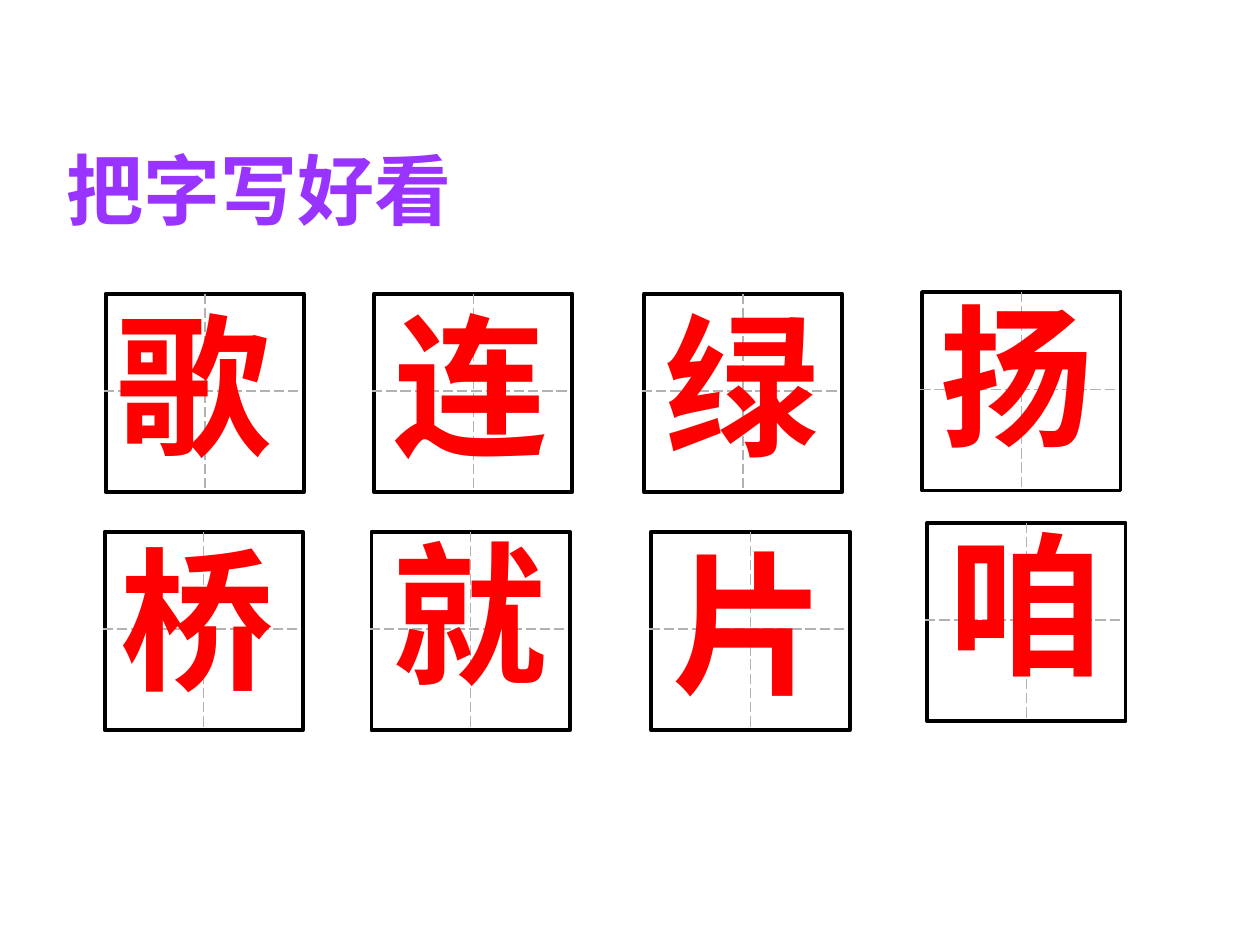
"""Build a handwriting practice slide with eight characters in dashed grid squares."""
from lxml.etree import SubElement
from pptx import Presentation
from pptx.dml.color import RGBColor
from pptx.enum.dml import MSO_LINE
from pptx.enum.shapes import MSO_CONNECTOR, MSO_SHAPE
from pptx.enum.text import MSO_ANCHOR, MSO_AUTO_SIZE, PP_ALIGN
from pptx.oxml.ns import qn
from pptx.util import Cm, Pt

PURPLE = RGBColor(0x99, 0x33, 0xFF)
RED = RGBColor(0xFF, 0x00, 0x00)
BLACK = RGBColor(0x00, 0x00, 0x00)
GRAY = RGBColor(0xB2, 0xB2, 0xB2)
HAN_FONT = "Noto Sans CJK SC"

HEADING = "把字写好看"
# character, square (left, top), character box (left, top), in cm
CHARACTERS = [
    ("歌", (2.13, 5.92), (1.91, 5.72)),
    ("绿", (12.98, 5.92), (12.95, 5.72)),
    ("扬", (18.59, 5.89), (18.49, 5.54)),
    ("连", (7.54, 5.92), (7.49, 5.72)),
    ("桥", (2.11, 10.72), (1.98, 10.44)),
    ("就", (7.49, 10.72), (7.47, 10.31)),
    ("片", (13.13, 10.72), (13.11, 10.52)),
    ("咱", (18.69, 10.54), (18.67, 10.13)),
]
SIDE = 4
SHIFT = 0.04


def write(box, text, *, size, color, font, align=PP_ALIGN.LEFT):
    frame = box.text_frame
    frame.auto_size = MSO_AUTO_SIZE.NONE
    frame.word_wrap = True
    frame.vertical_anchor = MSO_ANCHOR.MIDDLE
    paragraph = frame.paragraphs[0]
    paragraph.alignment = align
    run = paragraph.add_run()
    run.text = text
    run.font.size = Pt(size)
    run.font.bold = True
    run.font.color.rgb = color
    run.font.name = font
    SubElement(run.font._element, qn("a:ea")).set("typeface", HAN_FONT)


def add_guide(group, x1, y1, x2, y2):
    guide = group.shapes.add_connector(
        MSO_CONNECTOR.STRAIGHT, Cm(x1), Cm(y1), Cm(x2), Cm(y2))
    guide.line.color.rgb = GRAY
    guide.line.width = Pt(0.75)
    guide.line.dash_style = MSO_LINE.LONG_DASH
    SubElement(guide._element.spPr, qn("a:effectLst"))


def add_square(slide, left, top):
    group = slide.shapes.add_group_shape()
    square = group.shapes.add_shape(
        MSO_SHAPE.RECTANGLE, Cm(left), Cm(top), Cm(SIDE), Cm(SIDE))
    square.shadow.inherit = False
    square.fill.background()
    square.line.color.rgb = BLACK
    square.line.width = Pt(2.25)
    middle_x, middle_y = left + SIDE / 2, top + SIDE / 2 - SHIFT
    add_guide(group, middle_x, top, middle_x, top + SIDE)
    add_guide(group, left - SHIFT, middle_y, left - SHIFT + SIDE, middle_y)


def main():
    deck = Presentation()
    deck.slide_width, deck.slide_height = Cm(25.4), Cm(19.05)
    slide = deck.slides.add_slide(deck.slide_layouts[5])

    heading = slide.shapes.title
    heading.left, heading.top = Cm(1.09), Cm(2.31)
    heading.width, heading.height = Cm(9.2), Cm(3)
    write(heading, HEADING, size=44, color=PURPLE, font=HAN_FONT)

    for character, square_at, character_at in CHARACTERS:
        add_square(slide, *square_at)
        left, top = character_at
        box = slide.shapes.add_textbox(Cm(left), Cm(top), Cm(SIDE), Cm(SIDE))
        write(box, character, size=88, color=RED, font="Arial", align=PP_ALIGN.CENTER)

    deck.save("out.pptx")


if __name__ == "__main__":
    main()
